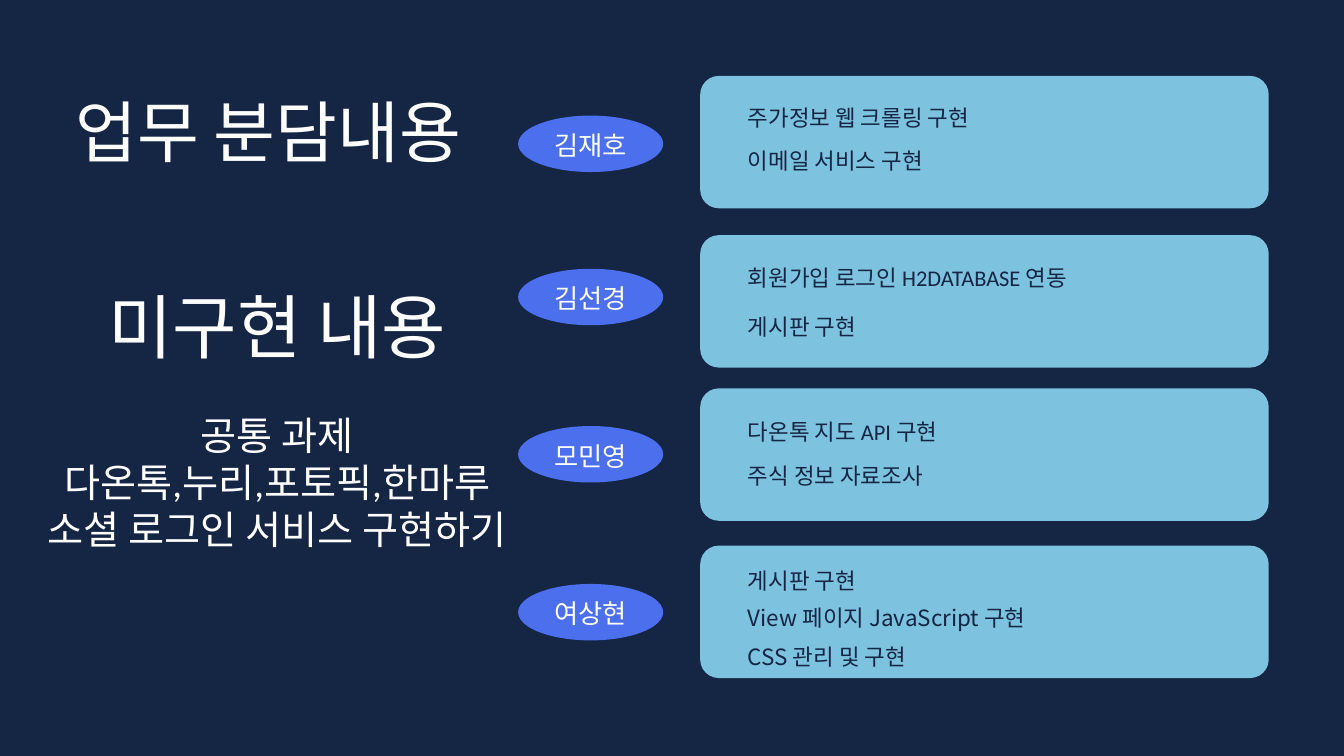
from pptx import Presentation, util as u
from pptx.dml.color import RGBColor
from pptx.enum import shapes, text

COLORS = {"navy": "152544", "sky": "7DC2DF", "blue": "4B6FED", "white": "FFFFFF"}
FONT, CJK_FONT = "Calibri", "Noto Sans CJK KR"

# Grid: one cell is a square inch
COLUMNS, ROWS = 20, 11.25
CELL = u.Inches(1)
OVAL_LEFT, CARD_LEFT, TASK_LEFT = 7.71, 10.42, 11.13

# Member, oval row, card row, tasks as (row, wording, font)
MEMBERS = [
    ("김재호", 1.72, 1.13, [(1.52, "주가정보 웹 크롤링 구현", FONT),
                         (2.16, "이메일 서비스 구현", FONT)]),
    ("김선경", 4, 3.5, [(3.89, "회원가입 로그인 H2DATABASE 연동", FONT),
                      (4.63, "게시판 구현", FONT)]),
    ("모민영", 6.34, 5.78, [(6.19, "다온톡 지도 API 구현", FONT),
                         (6.84, "주식 정보 자료조사", FONT)]),
    ("여상현", 8.69, 8.12, [(8.41, "게시판 구현", FONT),
                         (8.96, "View 페이지 JavaScript 구현", CJK_FONT),
                         (9.54, "CSS 관리 및 구현", CJK_FONT)]),
]


def color(name):
    return RGBColor.from_string(COLORS[name])


def cells(*lengths):
    return [round(length * CELL) for length in lengths]


def write(box, lines, size, leading, ink="white", font=FONT,
          align=text.PP_ALIGN.LEFT, wrap=True):
    frame = box.text_frame
    frame.word_wrap = wrap
    frame.margin_left = frame.margin_right = 0
    frame.margin_top = frame.margin_bottom = 0
    frame.text = "\n".join(lines)
    for para in frame.paragraphs:
        para.alignment = align
        para.line_spacing = u.Pt(leading)
        para.font.name = font
        para.font.size = u.Pt(size)
        para.font.color.rgb = color(ink)


def add_text(page, place, lines, size, leading, **style):
    write(page.shapes.add_textbox(*cells(*place)), lines, size, leading, **style)


def add_block(page, kind, place, fill):
    block = page.shapes.add_shape(kind, *cells(*place))
    block.shadow.inherit = False
    block.fill.solid()
    block.fill.fore_color.rgb = color(fill)
    block.line.fill.background()
    return block


def add_member(page, name, oval_top, card_top, tasks):
    # Name oval
    oval = add_block(page, shapes.MSO_SHAPE.OVAL, (OVAL_LEFT, oval_top, 2.16, 0.84), "blue")
    write(oval, [name], 28.2, 36.6, align=text.PP_ALIGN.CENTER, wrap=False)
    oval.text_frame.vertical_anchor = text.MSO_ANCHOR.MIDDLE

    # Task card
    card = add_block(page, shapes.MSO_SHAPE.ROUNDED_RECTANGLE,
                     (CARD_LEFT, card_top, 8.46, 1.97), "sky")
    card.adjustments[0] = 0.14
    for top, wording, font in tasks:
        add_text(page, (TASK_LEFT, top, 7.4, 0.42), [wording], 24, 31.2,
                 ink="navy", font=font)


def main():
    deck = Presentation()
    deck.slide_width, deck.slide_height = cells(COLUMNS, ROWS)
    page = deck.slides.add_slide(deck.slide_layouts[6])
    page.background.fill.solid()
    page.background.fill.fore_color.rgb = color("navy")

    # Headings and the open work, on the left
    add_text(page, (1.12, 1.35, 6.24, 1.21), ["업무 분담내용"], 72, 86.4)
    add_text(page, (1.5, 4.22, 5.25, 1.25), ["미구현 내용"], 75, 90,
             align=text.PP_ALIGN.CENTER)
    add_text(page, (0.37, 6.12, 7.51, 2.1),
             ["공통 과제", "다온톡,누리,포토픽,한마루", "소셜 로그인 서비스 구현하기"],
             42, 50.4, align=text.PP_ALIGN.CENTER)

    # One row for each member, on the right
    for member in MEMBERS:
        add_member(page, *member)

    deck.save("out.pptx")


if __name__ == "__main__":
    main()
